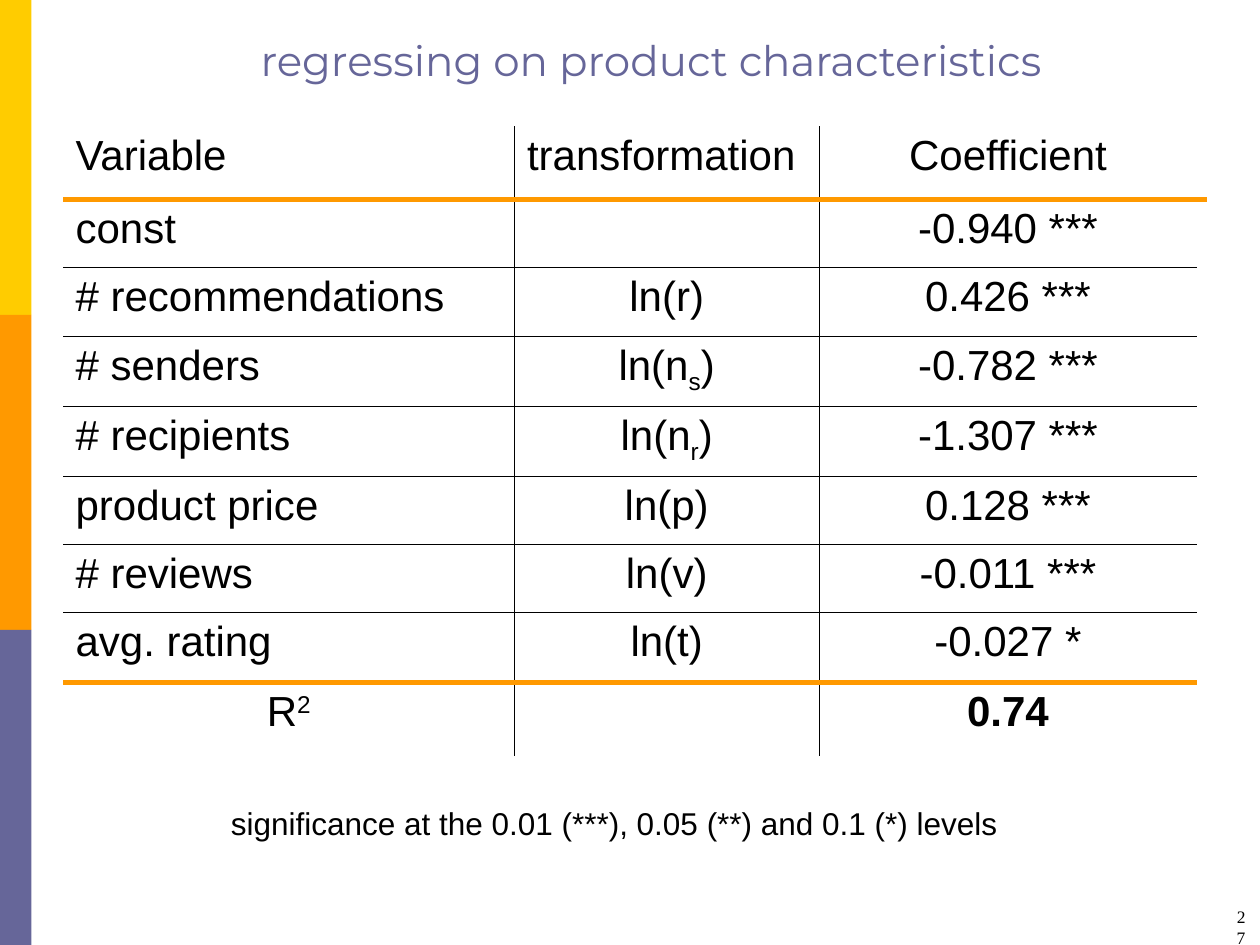
from lxml import etree
from pptx import Presentation
from pptx.dml.color import RGBColor
from pptx.enum import shapes, text
from pptx.oxml import ns
from pptx.util import Pt

# Content
TITLE = "regressing on product characteristics"
NOTE = "significance at the 0.01 (***), 0.05 (**) and 0.1 (*) levels"
PAGE = "27"
# A cell is a list of (text, format) runs or a plain string
SUB, SUP, BOLD = {"baseline": -25}, {"baseline": 30}, {"bold": True}
ROWS = [
    ("Variable", "transformation", "Coefficient"),
    ("const", "", "-0.940 ***"),
    ("# recommendations", "ln(r)", "0.426 ***"),
    ("# senders", [("ln(n", {}), ("s", SUB), (")", {})], "-0.782 ***"),
    ("# recipients", [("ln(n", {}), ("r", SUB), (")", {})], "-1.307 ***"),
    ("product price", "ln(p)", "0.128 ***"),
    ("# reviews", "ln(v)", "-0.011 ***"),
    ("avg. rating", "ln(t)", "-0.027 *"),
    ([("R", {}), ("2", SUP)], "", [("0.74", BOLD)]),
]

# Theme and layout
THEME = {
    "bands": ["FFCC00", "FF9900", "666699"],
    "rule": ("FF9900", 3),
    "grid": ("000000", 0.45),
    "title": {"name": "Montserrat", "size": 24, "color": "666699"},
    "body": {"name": "Arial", "size": 24, "color": "000000"},
    "note": {"name": "Arial", "size": 18, "color": "000000"},
    "page": {"name": "Times New Roman", "size": 10, "color": "000000"},
}
WIDTH, HEIGHT, BAND_WIDTH = 720, 540, 18
LEFT, TOP = 36, 72
COL_WIDTHS = [258, 174, 216]
ROW_HEIGHTS = [42, 39, 39, 40, 40, 39, 39, 40, 42]
LEFT_ALIGN, CENTER, RIGHT = (
    text.PP_ALIGN.LEFT, text.PP_ALIGN.CENTER, text.PP_ALIGN.RIGHT)


def write(tf, content, style, align):
    """Fill the first paragraph of a text frame with styled runs."""
    runs = [(content, {})] if isinstance(content, str) else content
    p = tf.paragraphs[0]
    p.alignment = align
    for words, extra in runs:
        r = p.add_run()
        r.text = words
        values = {"name": style["name"], "size": Pt(style["size"]),
                  "bold": extra.get("bold", False)}
        for key, value in values.items():
            setattr(r.font, key, value)
        r.font.color.rgb = RGBColor.from_string(style["color"])
        if "baseline" in extra:
            r.font._element.set("baseline", str(extra["baseline"] * 1000))
    return p


def add_text(s, box, content, style, align):
    tf = s.shapes.add_textbox(*map(Pt, box)).text_frame
    tf.word_wrap = True
    return write(tf, content, style, align)


def set_border(cell, side, visible):
    color, width = THEME["grid"]
    ln = etree.SubElement(cell._tc.get_or_add_tcPr(), ns.qn(f"a:ln{side}"),
                          w=str(int(Pt(width))))
    if visible:
        fill = etree.SubElement(ln, ns.qn("a:solidFill"))
        etree.SubElement(fill, ns.qn("a:srgbClr"), val=color)
    else:
        etree.SubElement(ln, ns.qn("a:noFill"))


def add_rule(s, x1, x2, y):
    color, width = THEME["rule"]
    line = s.shapes.add_connector(
        shapes.MSO_CONNECTOR.STRAIGHT, Pt(x1), Pt(y), Pt(x2), Pt(y))
    line.line.color.rgb = RGBColor.from_string(color)
    line.line.width = Pt(width)
    etree.SubElement(line._element.spPr, ns.qn("a:effectLst"))


prs = Presentation()
prs.slide_width, prs.slide_height = Pt(WIDTH), Pt(HEIGHT)
s = prs.slides.add_slide(prs.slide_layouts[5])

# Side bands
band_height = HEIGHT / len(THEME["bands"])
for i, color in enumerate(THEME["bands"]):
    sp = s.shapes.add_shape(shapes.MSO_SHAPE.RECTANGLE, Pt(0),
                            Pt(i * band_height), Pt(BAND_WIDTH), Pt(band_height))
    sp.shadow.inherit = False
    sp.fill.solid()
    sp.fill.fore_color.rgb = RGBColor.from_string(color)
    sp.line.fill.background()

# Title
title = s.shapes.title
for key, value in {"left": 48, "top": 0, "width": 648, "height": 52}.items():
    setattr(title, key, Pt(value))
tf = title.text_frame
tf.auto_size = text.MSO_AUTO_SIZE.NONE
tf.vertical_anchor = text.MSO_ANCHOR.BOTTOM
write(tf, TITLE, THEME["title"], CENTER)

# Regression table: inner grid lines only
last_row, last_col = len(ROWS) - 1, len(COL_WIDTHS) - 1
table = s.shapes.add_table(
    len(ROWS), len(COL_WIDTHS), Pt(LEFT), Pt(TOP),
    Pt(sum(COL_WIDTHS)), Pt(sum(ROW_HEIGHTS))).table
table.first_row = table.horz_banding = False
for column, width in zip(table.columns, COL_WIDTHS):
    column.width = Pt(width)
for i, (row, height) in enumerate(zip(ROWS, ROW_HEIGHTS)):
    table.rows[i].height = Pt(height)
    for j, content in enumerate(row):
        cell = table.cell(i, j)
        inner = {"L": j > 0, "R": j < last_col, "T": i > 0, "B": i < last_row}
        for side, visible in inner.items():
            set_border(cell, side, visible)
        cell.fill.background()
        left = (j == 0 and i < last_row) or (i == 0 and j < last_col)
        if content:
            write(cell.text_frame, content, THEME["body"],
                  LEFT_ALIGN if left else CENTER)

# Significance note
add_text(s, (54, 456, 594, 29), NOTE, THEME["note"], CENTER)

# Rules below the header and above the last row
table_right = LEFT + sum(COL_WIDTHS)
add_rule(s, LEFT, table_right + 6, TOP + ROW_HEIGHTS[0])
add_rule(s, LEFT, table_right, TOP + sum(ROW_HEIGHTS[:-1]))

# Page number, indented so that its digits stack
p = add_text(s, (687.6, 514, 30, 24), PAGE, THEME["page"], RIGHT)
p._p.get_or_add_pPr().set("marL", str(int(Pt(17))))

prs.save("out.pptx")
